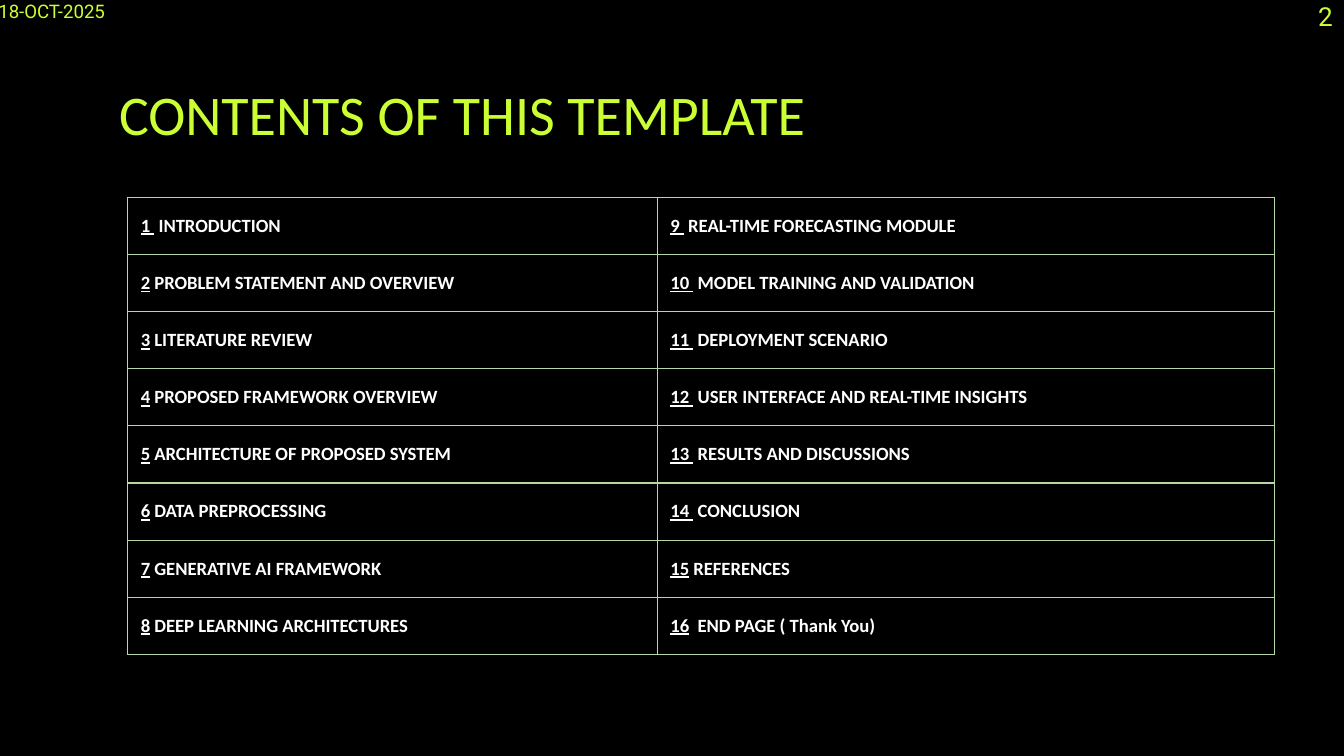
from lxml.etree import SubElement
from pptx import Presentation
from pptx.dml.color import RGBColor
from pptx.enum.text import MSO_ANCHOR
from pptx.oxml.ns import qn
from pptx.util import Cm, Pt

LIME = RGBColor(0xCC, 0xFF, 0x33)
WHITE = RGBColor(0xFF, 0xFF, 0xFF)
BLACK = RGBColor(0, 0, 0)
BORDER = RGBColor(0xB6, 0xD7, 0xA8)

CAPTIONS = [
    ("CONTENTS OF THIS TEMPLATE", (2, 1.25, 21.41, 1.6), 0.25, 30, "Calibri"),
    ("2", (24.66, -0.13, 0.89, 0.86), 0.13, 14, "Roboto"),
    ("18-OCT-2025", (-0.28, -0.13, 2.69, 0.69), 0.13, 10, "Roboto"),
]
CONTENTS = [
    [
        ("1 ", "INTRODUCTION"),
        ("2", "PROBLEM STATEMENT AND OVERVIEW"),
        ("3", "LITERATURE REVIEW"),
        ("4", "PROPOSED FRAMEWORK OVERVIEW"),
        ("5", "ARCHITECTURE OF PROPOSED SYSTEM"),
        ("6", "DATA PREPROCESSING"),
        ("7", "GENERATIVE AI FRAMEWORK"),
        ("8", "DEEP LEARNING ARCHITECTURES"),
    ],
    [
        ("9 ", "REAL-TIME FORECASTING MODULE"),
        ("10 ", "MODEL TRAINING AND VALIDATION"),
        ("11 ", "DEPLOYMENT SCENARIO"),
        ("12 ", "USER INTERFACE AND REAL-TIME INSIGHTS"),
        ("13 ", "RESULTS AND DISCUSSIONS"),
        ("14 ", "CONCLUSION"),
        ("15", "REFERENCES"),
        ("16", " END PAGE ( Thank You)"),
    ],
]
COLUMN_WIDTHS = [10.01, 11.66]
SPACE_AFTER = [0, 16]
ROW_HEIGHT = 1.08


def set_font(font, name, size, color):
    font.name = name
    font.size = Pt(size)
    font.color.rgb = color


def add_caption(slide, text, place, inset, size, font_name):
    frame = slide.shapes.add_textbox(*map(Cm, place)).text_frame
    frame.word_wrap = True
    frame.margin_left = frame.margin_right = Cm(0.25)
    frame.margin_top = frame.margin_bottom = Cm(inset)
    frame.text = text
    set_font(frame.paragraphs[0].font, font_name, size, LIME)


def add_borders(cell):
    properties = cell._tc.get_or_add_tcPr()
    for index, side in enumerate(("lnL", "lnR", "lnT", "lnB")):
        line = properties.makeelement(qn(f"a:{side}"), {"w": str(Pt(0.75))})
        fill = SubElement(line, qn("a:solidFill"))
        SubElement(fill, qn("a:srgbClr"), val=str(BORDER))
        properties.insert(index, line)


def fill_cell(cell, number, topic, space_after):
    cell.fill.background()
    add_borders(cell)
    cell.vertical_anchor = MSO_ANCHOR.MIDDLE
    cell.margin_left = cell.margin_right = Cm(0.25)
    cell.margin_top = cell.margin_bottom = 0
    entry = cell.text_frame.paragraphs[0]
    entry.space_after = Pt(space_after)
    set_font(entry.font, "Calibri", 10, WHITE)
    entry.font.bold = True
    number_run = entry.add_run()
    number_run.text = number
    number_run.font.underline = True
    entry.add_run().text = f" {topic}"


def add_contents(slide):
    row_count = len(CONTENTS[0])
    table = slide.shapes.add_table(
        row_count, len(CONTENTS), Cm(2.41), Cm(3.73),
        Cm(sum(COLUMN_WIDTHS)), Cm(row_count * ROW_HEIGHT),
    ).table
    table.first_row = table.horz_banding = False
    for row in table.rows:
        row.height = Cm(ROW_HEIGHT)
    for column, entries in enumerate(CONTENTS):
        table.columns[column].width = Cm(COLUMN_WIDTHS[column])
        for row, (number, topic) in enumerate(entries):
            fill_cell(table.cell(row, column), number, topic, SPACE_AFTER[column])


def main():
    deck = Presentation()
    deck.slide_width, deck.slide_height = Cm(25.4), Cm(14.29)
    slide = deck.slides.add_slide(deck.slide_layouts[6])
    slide.background.fill.solid()
    slide.background.fill.fore_color.rgb = BLACK
    add_contents(slide)
    for caption in CAPTIONS:
        add_caption(slide, *caption)
    deck.save("out.pptx")


if __name__ == "__main__":
    main()
